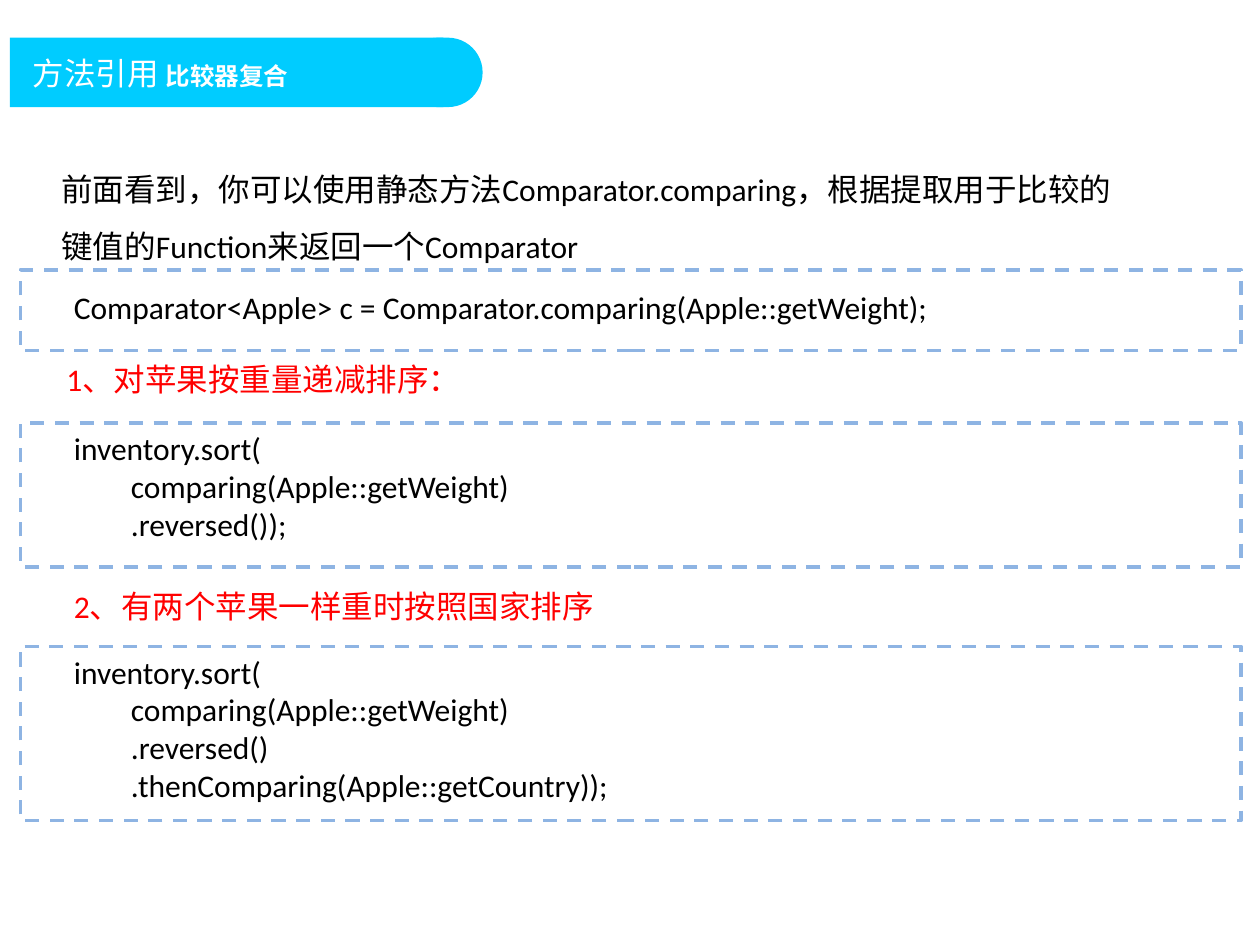
from dataclasses import dataclass

from pptx import Presentation
from pptx.dml.color import RGBColor
from pptx.enum.dml import MSO_LINE
from pptx.enum.shapes import MSO_SHAPE
from pptx.enum.text import MSO_ANCHOR
from pptx.util import Cm, Pt


@dataclass(frozen=True)
class Theme:
    banner: RGBColor = RGBColor(0x00, 0xCC, 0xFF)
    frame: RGBColor = RGBColor(0x8E, 0xB4, 0xE3)
    light: RGBColor = RGBColor(0xFF, 0xFF, 0xFF)
    dark: RGBColor = RGBColor(0x00, 0x00, 0x00)
    accent: RGBColor = RGBColor(0xFF, 0x00, 0x00)
    body_font: str = "Calibri"
    title_font: str = "Noto Sans CJK SC"
    body_size: Pt = Pt(18)
    subtitle_size: Pt = Pt(14)
    frame_width: Pt = Pt(2)
    code_indent: Cm = Cm(1.15)


class SlideBuilder:
    def __init__(self, slide, theme):
        self.slide = slide
        self.theme = theme

    def add_shape(self, preset, left, top, width, height):
        shape = self.slide.shapes.add_shape(
            preset, Cm(left), Cm(top), Cm(width), Cm(height))
        shape.shadow.inherit = False
        return shape

    def add_text_box(self, left, top, width, height):
        text_box = self.slide.shapes.add_textbox(
            Cm(left), Cm(top), Cm(width), Cm(height))
        text_box.text_frame.word_wrap = True
        return text_box.text_frame

    def style(self, paragraph, color):
        paragraph.font.name = self.theme.body_font
        paragraph.font.size = self.theme.body_size
        paragraph.font.color.rgb = color

    def add_banner(self):
        bar = self.add_shape(MSO_SHAPE.RECTANGLE, 0.2, 0.76, 8.74, 1.4)
        cap = self.add_shape(MSO_SHAPE.ROUNDED_RECTANGLE, 8.13, 0.76, 1.6, 1.4)
        cap.adjustments[0] = 0.5
        for shape in (bar, cap):
            shape.fill.solid()
            shape.fill.fore_color.rgb = self.theme.banner
            shape.line.fill.background()

    def add_title(self, title, subtitle):
        text_frame = self.add_text_box(0.41, 0.36, 13.89, 2.21)
        text_frame.vertical_anchor = MSO_ANCHOR.MIDDLE
        paragraph = text_frame.paragraphs[0]
        sizes = (self.theme.body_size, self.theme.subtitle_size)
        for text, size, bold in zip((title, subtitle), sizes, (False, True)):
            run = paragraph.add_run()
            run.text = text
            run.font.name = self.theme.title_font
            run.font.size = size
            run.font.bold = bold
            run.font.color.rgb = self.theme.light

    def add_paragraph(self, text, left, top, width, height, color, spacing=1.0):
        paragraph = self.add_text_box(left, top, width, height).paragraphs[0]
        paragraph.text = text
        paragraph.line_spacing = spacing
        self.style(paragraph, color)

    def add_heading(self, text, left, top):
        self.add_paragraph(text, left, top, 12.7, 1.02, self.theme.accent)

    def add_code(self, lines, top, height):
        text_frame = self.add_text_box(1.24, top, 20.68, height)
        for index, line in enumerate(lines):
            paragraph = text_frame.add_paragraph() if index else text_frame.paragraphs[0]
            paragraph.text = line
            self.style(paragraph, self.theme.dark)
            if index:
                paragraph._p.get_or_add_pPr().set("marL", str(self.theme.code_indent))

    def add_frame(self, top, height):
        frame = self.add_shape(MSO_SHAPE.RECTANGLE, 0.41, top, 24.61, height)
        frame.fill.background()
        frame.line.color.rgb = self.theme.frame
        frame.line.width = self.theme.frame_width
        frame.line.dash_style = MSO_LINE.DASH


def main():
    presentation = Presentation()
    presentation.slide_width = Cm(25.4)
    presentation.slide_height = Cm(19.05)
    slide = presentation.slides.add_slide(presentation.slide_layouts[6])
    theme = Theme()
    builder = SlideBuilder(slide, theme)

    builder.add_banner()
    builder.add_title("方法引用 ", "比较器复合")
    builder.add_paragraph(
        "前面看到，你可以使用静态方法Comparator.comparing，"
        "根据提取用于比较的键值的Function来返回一个Comparator",
        0.99, 2.92, 21.89, 2.57, theme.dark, spacing=1.5)
    builder.add_heading("1、对苹果按重量递减排序：", 1.09, 7.14)
    builder.add_heading("2、有两个苹果一样重时按照国家排序", 1.24, 11.71)

    sort_call = ["inventory.sort(", "comparing(Apple::getWeight)"]
    code_blocks = [
        (["Comparator<Apple> c = Comparator.comparing(Apple::getWeight);"],
         5.69, 1.02, 5.44, 1.63),
        (sort_call + [".reversed());"], 8.53, 2.57, 8.53, 2.9),
        (sort_call + [".reversed()", ".thenComparing(Apple::getCountry));"],
         13.03, 3.33, 13.03, 3.51),
    ]
    for lines, text_top, text_height, frame_top, frame_height in code_blocks:
        builder.add_code(lines, text_top, text_height)
        builder.add_frame(frame_top, frame_height)

    presentation.save("out.pptx")


if __name__ == "__main__":
    main()
